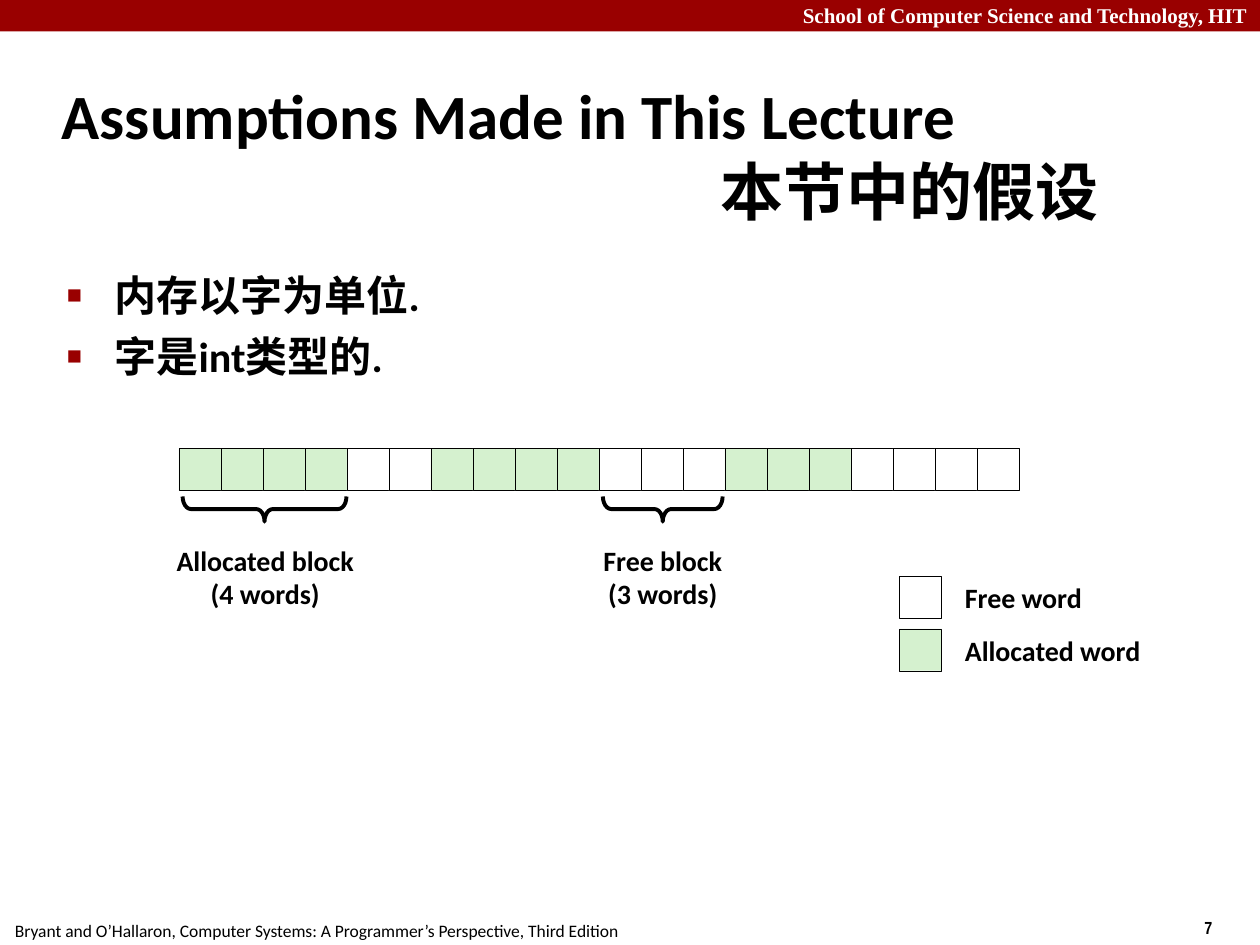
from lxml.etree import SubElement
from pptx import Presentation
from pptx.dml.color import RGBColor as Rgb
from pptx.enum.shapes import MSO_SHAPE as Shape
from pptx.enum.text import MSO_ANCHOR as Anchor, MSO_AUTO_SIZE as Fit, PP_ALIGN as Align
from pptx.oxml.ns import qn
from pptx.util import Inches, Pt

COLORS = {"band": "990000", "used": "D5F1CF", "free": "FFFFFF", "ink": "000000"}


class Deck:
    def __init__(self, wide, high):
        self.prs = Presentation()
        self.prs.slide_width = Inches(wide)
        self.prs.slide_height = Inches(high)
        self.slide = self.prs.slides.add_slide(self.prs.slide_layouts[1])
        self.font = "Calibri"

    def color(self, name):
        return Rgb.from_string(COLORS[name])

    def place(self, shape, box):
        shape.left, shape.top, shape.width, shape.height = map(Inches, box)

    def style(self, frame, text, size, bold=True, ink="ink", font=None, align=Align.LEFT):
        frame.text = text
        for para in frame.paragraphs:
            para.alignment = align
            for run in para.runs:
                run.font.size = Pt(size)
                run.font.bold = bold
                run.font.name = font or self.font
                run.font.color.rgb = self.color(ink)

    def indent(self, para, left, first):
        props = para._p.get_or_add_pPr()
        props.set("marL", str(Inches(left)))
        props.set("indent", str(Inches(first)))
        return props

    def title(self, box, lines, size, inset):
        shape = self.slide.shapes.title
        self.place(shape, box)
        frame = shape.text_frame
        self.style(frame, "\n".join(lines), size)
        frame.auto_size = Fit.NONE
        frame.vertical_anchor = Anchor.MIDDLE
        self.indent(frame.paragraphs[-1], inset, 0)

    def body(self, box, lines, size):
        shape = self.slide.placeholders[1]
        self.place(shape, box)
        frame = shape.text_frame
        self.style(frame, "\n".join(lines), size)
        frame.auto_size = Fit.NONE
        for para in frame.paragraphs:
            para.space_before = Pt(6)
            props = self.indent(para, 0.38, -0.38)
            tint = SubElement(props, qn("a:buClr"))
            SubElement(tint, qn("a:srgbClr"), val=COLORS["band"])
            SubElement(props, qn("a:buSzPct"), val="60000")
            SubElement(props, qn("a:buChar"), char="■")

    def text(self, box, text, size, wrap=False, space=None, **look):
        shape = self.slide.shapes.add_textbox(*map(Inches, box))
        frame = shape.text_frame
        frame.word_wrap = wrap
        self.style(frame, text, size, **look)
        for para in frame.paragraphs:
            para.line_spacing = space

    def rect(self, box, fill, line=True):
        shape = self.slide.shapes.add_shape(Shape.RECTANGLE, *map(Inches, box))
        shape.shadow.inherit = False
        shape.fill.solid()
        shape.fill.fore_color.rgb = self.color(fill)
        if line:
            shape.line.color.rgb = self.color("ink")
            shape.line.width = Pt(0.25)
        else:
            shape.line.fill.background()

    def brace(self, mid, top, wide, high):
        box = (mid - high / 2, top + high / 2 - wide / 2, high, wide)
        shape = self.slide.shapes.add_shape(Shape.LEFT_BRACE, *map(Inches, box))
        shape.rotation = 270
        shape.adjustments[0] = 0.33
        shape.shadow.inherit = False
        shape.fill.background()
        shape.line.color.rgb = self.color("ink")
        shape.line.width = Pt(2.25)


def main():
    deck = Deck(10, 7.5)
    deck.rect((0, 0, 10, 0.25), "band", line=False)
    deck.text((9.46, 7.23, 0.75, 0.27), "7", 10, font="Arial Narrow")
    deck.text((0.02, 7.25, 5.01, 0.27),
              "Bryant and O’Hallaron, Computer Systems: A Programmer’s Perspective, Third Edition",
              10, bold=False)
    deck.text((0, -0.03, 10, 0.3), "School of Computer Science and Technology, HIT", 12,
              wrap=True, ink="free", font="Times New Roman", align=Align.RIGHT)

    deck.title((0.39, 0.48, 9.18, 1.46),
               ["Assumptions Made in This Lecture", "本节中的假设"], 36, 5.23)
    deck.body((0.43, 2.09, 8.64, 4.73), ["内存以字为单位.", "字是int类型的."], 24)

    side = 1 / 3
    runs = [("used", 4), ("free", 2), ("used", 4), ("free", 3), ("used", 3), ("free", 4)]
    words = [kind for kind, count in runs for _ in range(count)]
    for i, kind in enumerate(words):
        deck.rect((1.42 + i * side, 3.56, side, side), kind)

    blocks = [("Allocated block\n(4 words)", 1.3, 1.61, 2.1, 1.3),
              ("Free block\n(3 words)", 4.69, 1.14, 5.26, 0.95)]
    for label, left, wide, mid, span in blocks:
        deck.text((left, 4.28, wide, 0.62), label, 16, space=0.98, align=Align.CENTER)
        deck.brace(mid, 3.94, span, 0.2)

    keys = [("free", "Free word", 1.13), ("used", "Allocated word", 1.6)]
    for i, (kind, label, wide) in enumerate(keys):
        top = 4.57 + i * 0.42
        deck.rect((7.14, top, side, side), kind)
        deck.text((7.56, top, wide, 0.36), label, 16, space=0.98)

    deck.prs.save("out.pptx")


if __name__ == "__main__":
    main()
